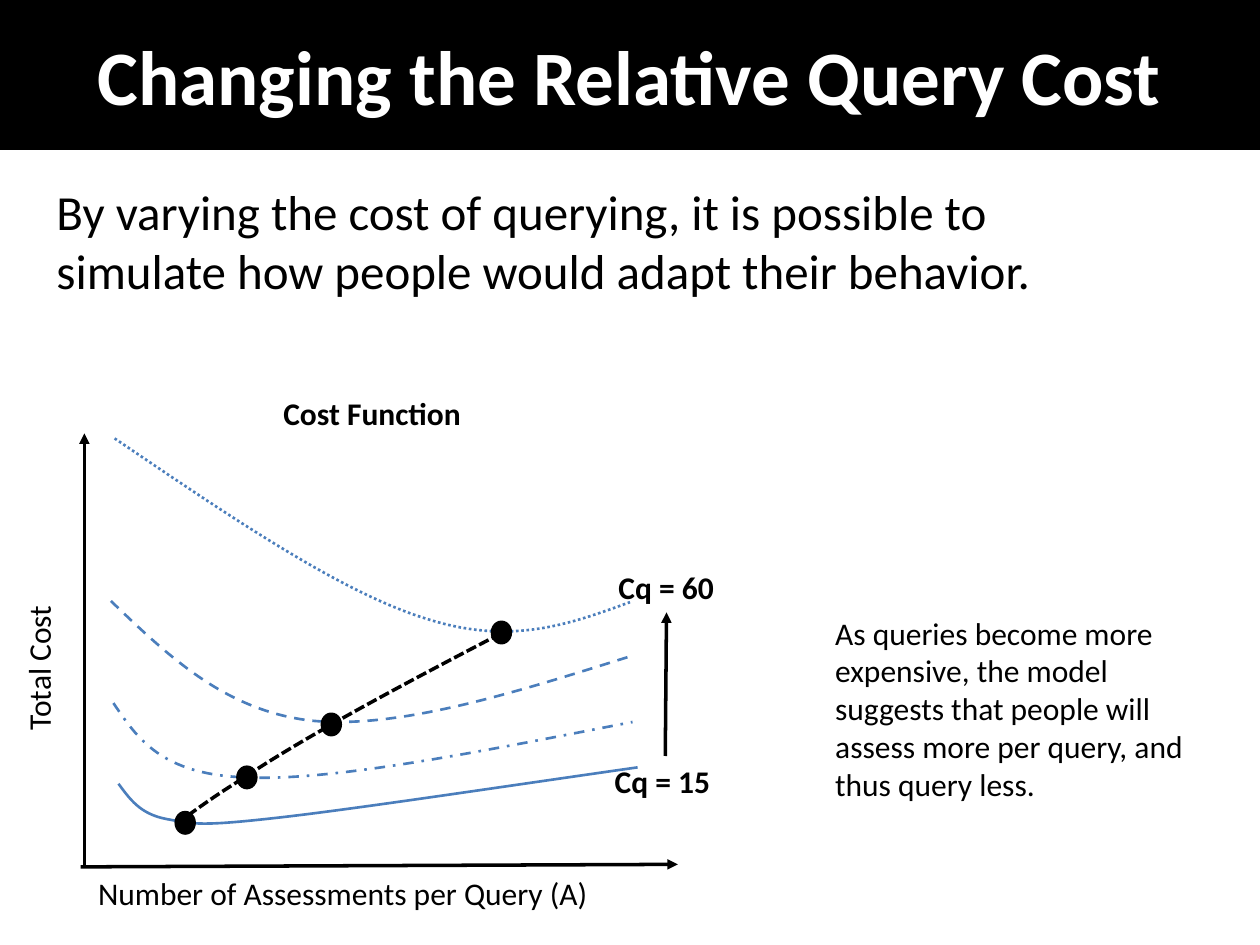
from pptx import Presentation
from pptx.dml.color import RGBColor
from pptx.enum import dml, shapes, text
from pptx.oxml import ns, xmlchemy as xc
from pptx.util import Inches, Pt

HUES = {"ink": "000000", "paper": "FFFFFF", "curve": "4B7EBC"}
FONT = "Calibri"
DASH = dml.MSO_LINE


def hue(name):
    return RGBColor.from_string(HUES[name])


def write(frame, words, size, tone="ink", bold=False, align=None):
    """Put one formatted paragraph in a text frame."""
    para = frame.paragraphs[0]
    para.text = words
    para.alignment = align
    look = {"name": FONT, "size": Pt(size), "bold": bold}
    for key, value in look.items():
        setattr(para.font, key, value)
    para.font.color.rgb = hue(tone)


def add_title(slide, words):
    title = slide.shapes.title
    place = {"left": 0, "top": 0, "width": Inches(10), "height": Inches(1.19)}
    for key, value in place.items():
        setattr(title, key, value)
    title.fill.solid()
    title.fill.fore_color.rgb = hue("ink")
    title.text_frame.vertical_anchor = text.MSO_ANCHOR.MIDDLE
    write(title.text_frame, words, 44, "paper", True, text.PP_ALIGN.CENTER)


def add_label(slide, words, box, size=18, wrap=False, turn=0, **look):
    label = slide.shapes.add_textbox(*map(Inches, box))
    label.rotation = turn
    label.text_frame.word_wrap = wrap
    label.text_frame.auto_size = text.MSO_AUTO_SIZE.SHAPE_TO_FIT_TEXT
    write(label.text_frame, words, size, **look)


def add_arrow(slide, start, end, tip="headEnd"):
    arrow = slide.shapes.add_connector(
        shapes.MSO_CONNECTOR.STRAIGHT, *map(Inches, start + end))
    arrow.line.width = Pt(2)
    arrow.line.color.rgb = hue("ink")
    props = arrow._element.spPr
    mark = xc.OxmlElement(f"a:{tip}")
    mark.set("type", "triangle")
    props.find(ns.qn("a:ln")).append(mark)
    props.append(xc.OxmlElement("a:effectLst"))


def bend(curve):
    """Join each three straight pieces into one cubic Bezier."""
    lines = list(curve._element.iter(ns.qn("a:lnTo")))
    for i in range(0, len(lines), 3):
        cubic = xc.OxmlElement("a:cubicBezTo")
        lines[i].addprevious(cubic)
        for line in lines[i:i + 3]:
            cubic.append(line[0])
            line.getparent().remove(line)


def add_curve(slide, knots, high, dash, tone="curve", width=1.5):
    pen = slide.shapes.build_freeform(*map(Inches, knots[0]))
    pen.add_line_segments(
        [tuple(map(Inches, knot)) for knot in knots[1:]], close=False)
    curve = pen.convert_to_shape()
    bend(curve)
    # Frame the drawn curve, not its control points
    curve.height = Inches(high)
    next(curve._element.iter(ns.qn("a:path"))).set("h", str(Inches(high)))
    curve.shadow.inherit = False
    curve.fill.background()
    curve.line.color.rgb = hue(tone)
    curve.line.width = Pt(width)
    if dash:
        curve.line.dash_style = dash


def add_dot(slide, left, top):
    dot = slide.shapes.add_shape(
        shapes.MSO_SHAPE.OVAL, *map(Inches, (left, top, 0.16, 0.18)))
    dot.shadow.inherit = False
    dot.fill.solid()
    dot.fill.fore_color.rgb = hue("ink")
    dot.line.color.rgb = hue("ink")
    dot.line.width = Pt(0.75)


def main():
    deck = Presentation()
    deck.slide_width, deck.slide_height = Inches(10), Inches(7.5)
    slide = deck.slides.add_slide(deck.slide_layouts[5])

    # Heading
    add_title(slide, "Changing the Relative Query Cost")

    # Axes with their names
    add_arrow(slide, (0.67, 3.44), (0.67, 6.89))
    add_label(slide, "Total Cost", (-0.57, 5.06, 1.83, 0.48), turn=270,
              align=text.PP_ALIGN.CENTER)
    add_arrow(slide, (5.38, 6.86), (0.64, 6.88))
    add_label(slide, "Number of Assessments per Query (A)",
              (0.68, 6.89, 4.92, 0.62))
    add_label(slide, "Cost Function", (2.15, 3.08, 1.62, 0.4), bold=True)

    # Cost curves, cheapest query first: knots, height, dash
    costs = [
        ([(0.94, 6.22), (1.03, 6.34), (1.11, 6.46), (1.32, 6.5),
          (1.54, 6.54), (1.58, 6.56), (2.2, 6.49),
          (2.82, 6.42), (3.94, 6.25), (5.06, 6.09)], 0.45, None),
        ([(0.9, 5.58), (1.09, 5.86), (1.28, 6.15), (1.96, 6.17),
          (2.65, 6.2), (3.84, 5.96), (5.02, 5.73)], 0.59, DASH.DASH_DOT),
        ([(0.88, 4.77), (1.33, 5.2), (1.78, 5.64), (2.47, 5.72),
          (3.16, 5.79), (4.08, 5.5), (5, 5.21)], 0.96, DASH.DASH),
        ([(0.91, 3.48), (1.81, 4.09), (2.7, 4.7), (3.38, 4.91),
          (4.06, 5.13), (4.53, 4.95), (5, 4.78)], 1.53, DASH.ROUND_DOT),
    ]
    for knots, high, dash in costs:
        add_curve(slide, knots, high, dash)

    # Remark
    add_label(slide, "As queries become more expensive, the model suggests "
              "that people will assess more per query, and thus query less.",
              (6.53, 4.82, 3.08, 1.62), wrap=True)

    # Range of query costs
    add_label(slide, "Cq = 15", (4.78, 6, 1.02, 0.4), wrap=True, bold=True)
    add_label(slide, "Cq = 60", (4.81, 4.46, 0.97, 0.4), bold=True)
    add_arrow(slide, (5.28, 6), (5.29, 4.86), "tailEnd")

    # Path through the lowest points
    lows = [(1.4, 6.54), (1.55, 6.43), (1.7, 6.32), (1.91, 6.19),
            (2.12, 6.05), (2.3, 5.94), (2.65, 5.74),
            (3, 5.54), (3.51, 5.27), (4.03, 5)]
    add_curve(slide, lows, 1.54, DASH.SQUARE_DOT, "ink", 2)
    for spot in ((3.9, 4.93), (1.39, 6.44), (1.88, 6.08), (2.55, 5.66)):
        add_dot(slide, *spot)

    # Lead sentence
    add_label(slide, "By varying the cost of querying, it is possible to "
              "simulate how people would adapt their behavior.",
              (0.35, 1.39, 8.33, 1.02), size=28, wrap=True)

    deck.save("out.pptx")


if __name__ == "__main__":
    main()
